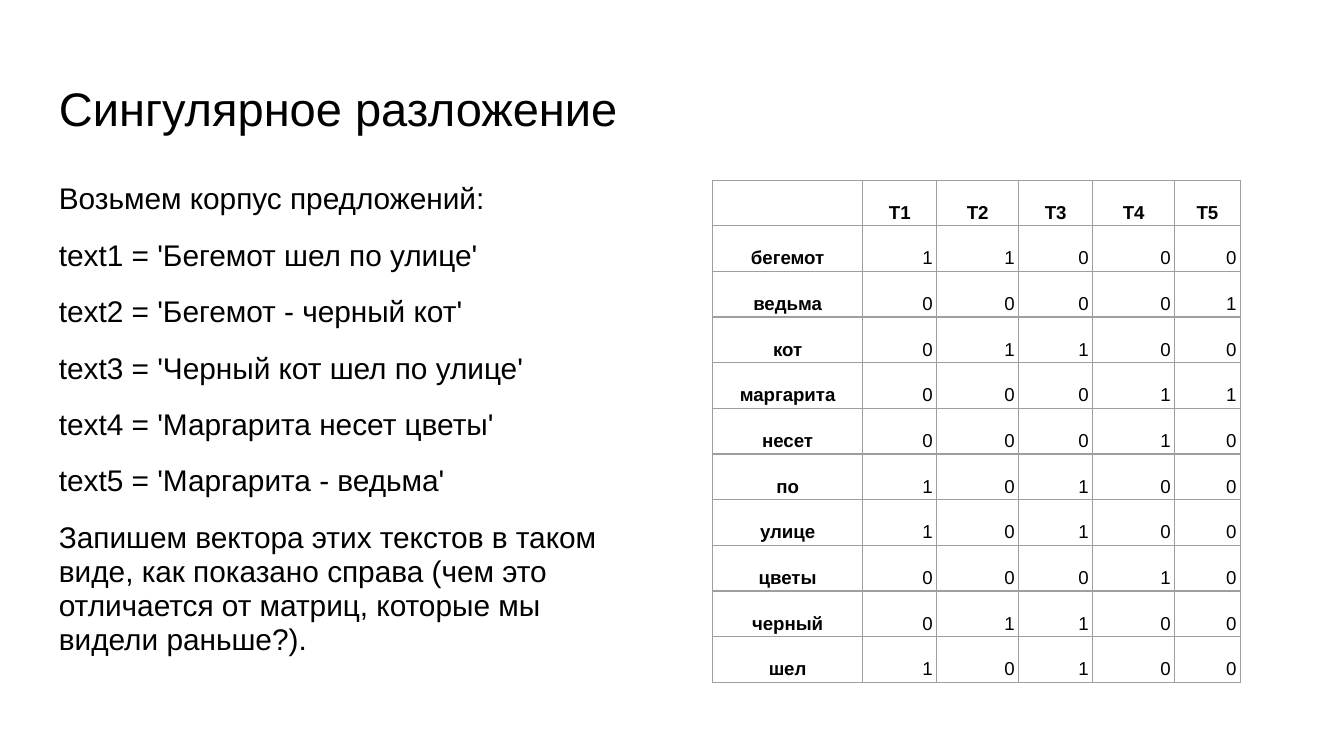
from lxml.etree import SubElement
from pptx import Presentation
from pptx.dml.color import RGBColor
from pptx.enum.text import MSO_ANCHOR, PP_ALIGN
from pptx.oxml.ns import qn
from pptx.util import Inches, Pt

FONT = "Arial"
BLACK = RGBColor(0x00, 0x00, 0x00)
GRID_GRAY = RGBColor(0x9E, 0x9E, 0x9E)

TITLE = "Сингулярное разложение"
BODY = [
    "Возьмем корпус предложений:",
    "text1 = 'Бегемот шел по улице'",
    "text2 = 'Бегемот - черный кот'",
    "text3 = 'Черный кот шел по улице'",
    "text4 = 'Маргарита несет цветы'",
    "text5 = 'Маргарита - ведьма'",
    "Запишем вектора этих текстов в таком виде, как показано справа "
    "(чем это отличается от матриц, которые мы видели раньше?).",
]
TERM_MATRIX = [
    ("", "T1", "T2", "T3", "T4", "T5"),
    ("бегемот", 1, 1, 0, 0, 0),
    ("ведьма", 0, 0, 0, 0, 1),
    ("кот", 0, 1, 1, 0, 0),
    ("маргарита", 0, 0, 0, 1, 1),
    ("несет", 0, 0, 0, 1, 0),
    ("по", 1, 0, 1, 0, 0),
    ("улице", 1, 0, 1, 0, 0),
    ("цветы", 0, 0, 0, 1, 0),
    ("черный", 0, 1, 1, 0, 0),
    ("шел", 1, 0, 1, 0, 0),
]
SLIDE_WIDTH = 10
COLUMN_WIDTHS = [1.12, 0.55, 0.61, 0.55, 0.61, 0.49]
ROW_HEIGHT = 0.34


def style_font(paragraph, size, bold=False):
    font = paragraph.font
    font.name, font.size, font.bold = FONT, Pt(size), bold
    font.color.rgb = BLACK


def add_text(slide, box, lines, size, line_spacing=1.0):
    frame = slide.shapes.add_textbox(*map(Inches, box)).text_frame
    frame.word_wrap = True
    frame.vertical_anchor = MSO_ANCHOR.TOP
    frame.margin_left = frame.margin_right = Inches(0.1)
    frame.margin_top = frame.margin_bottom = Inches(0.1)
    for index, line in enumerate(lines):
        paragraph = frame.add_paragraph() if index else frame.paragraphs[0]
        paragraph.text = line
        paragraph.line_spacing = line_spacing
        if index:
            paragraph.space_before = Pt(12)
        style_font(paragraph, size)


def add_borders(cell):
    properties = cell._tc.get_or_add_tcPr()
    for position, side in enumerate(("a:lnL", "a:lnR", "a:lnT", "a:lnB")):
        line = properties.makeelement(qn(side), {"w": str(Pt(0.75))})
        fill = SubElement(line, qn("a:solidFill"))
        SubElement(fill, qn("a:srgbClr"), val=str(GRID_GRAY))
        properties.insert(position, line)


def style_cell(cell, value, is_header):
    cell.fill.background()
    cell.vertical_anchor = MSO_ANCHOR.BOTTOM
    cell.margin_left = cell.margin_right = Inches(0.03)
    cell.margin_top = cell.margin_bottom = Inches(0.02)
    paragraph = cell.text_frame.paragraphs[0]
    paragraph.text = str(value)
    paragraph.alignment = PP_ALIGN.CENTER if is_header else PP_ALIGN.RIGHT
    paragraph.line_spacing = 1.15
    style_font(paragraph, 10, bold=is_header)
    add_borders(cell)


def add_term_table(slide, left, top):
    rows, columns = len(TERM_MATRIX), len(COLUMN_WIDTHS)
    table = slide.shapes.add_table(
        rows, columns, Inches(left), Inches(top),
        Inches(sum(COLUMN_WIDTHS)), Inches(rows * ROW_HEIGHT)).table
    table.horz_banding = False
    for column, width in zip(table.columns, COLUMN_WIDTHS):
        column.width = Inches(width)
    for r, values in enumerate(TERM_MATRIX):
        table.rows[r].height = Inches(ROW_HEIGHT)
        for c, value in enumerate(values):
            style_cell(table.cell(r, c), value, is_header=r == 0 or c == 0)


def main():
    presentation = Presentation()
    presentation.slide_width = Inches(SLIDE_WIDTH)
    presentation.slide_height = Inches(SLIDE_WIDTH * 9 / 16)
    slide = presentation.slides.add_slide(presentation.slide_layouts[6])
    add_text(slide, (0.34, 0.49, 9.32, 0.63), [TITLE], 25.2)
    add_text(slide, (0.34, 1.26, 4.37, 3.74), BODY, 16, line_spacing=0.95)
    add_term_table(slide, 5.3, 1.34)
    presentation.save("out.pptx")


if __name__ == "__main__":
    main()
